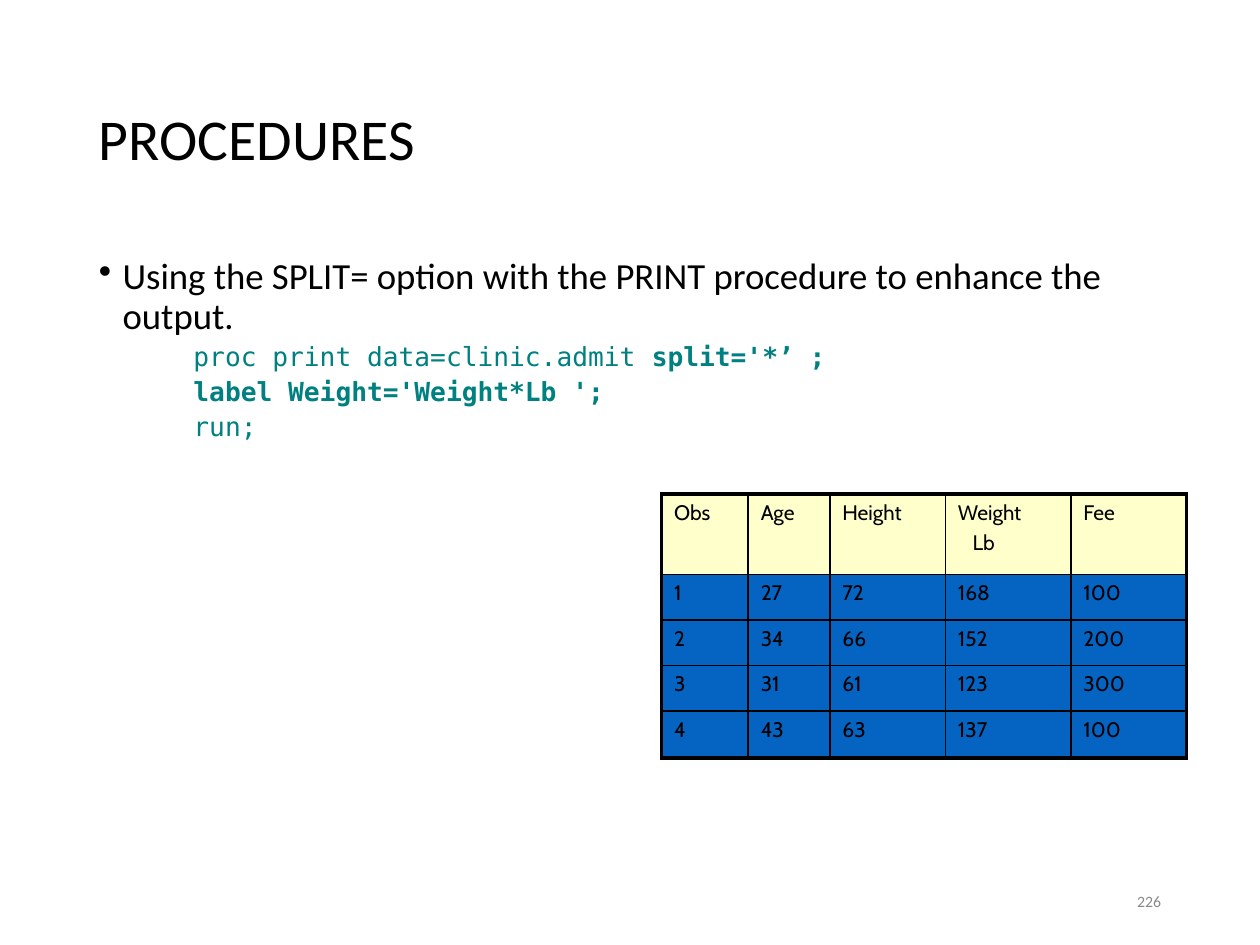
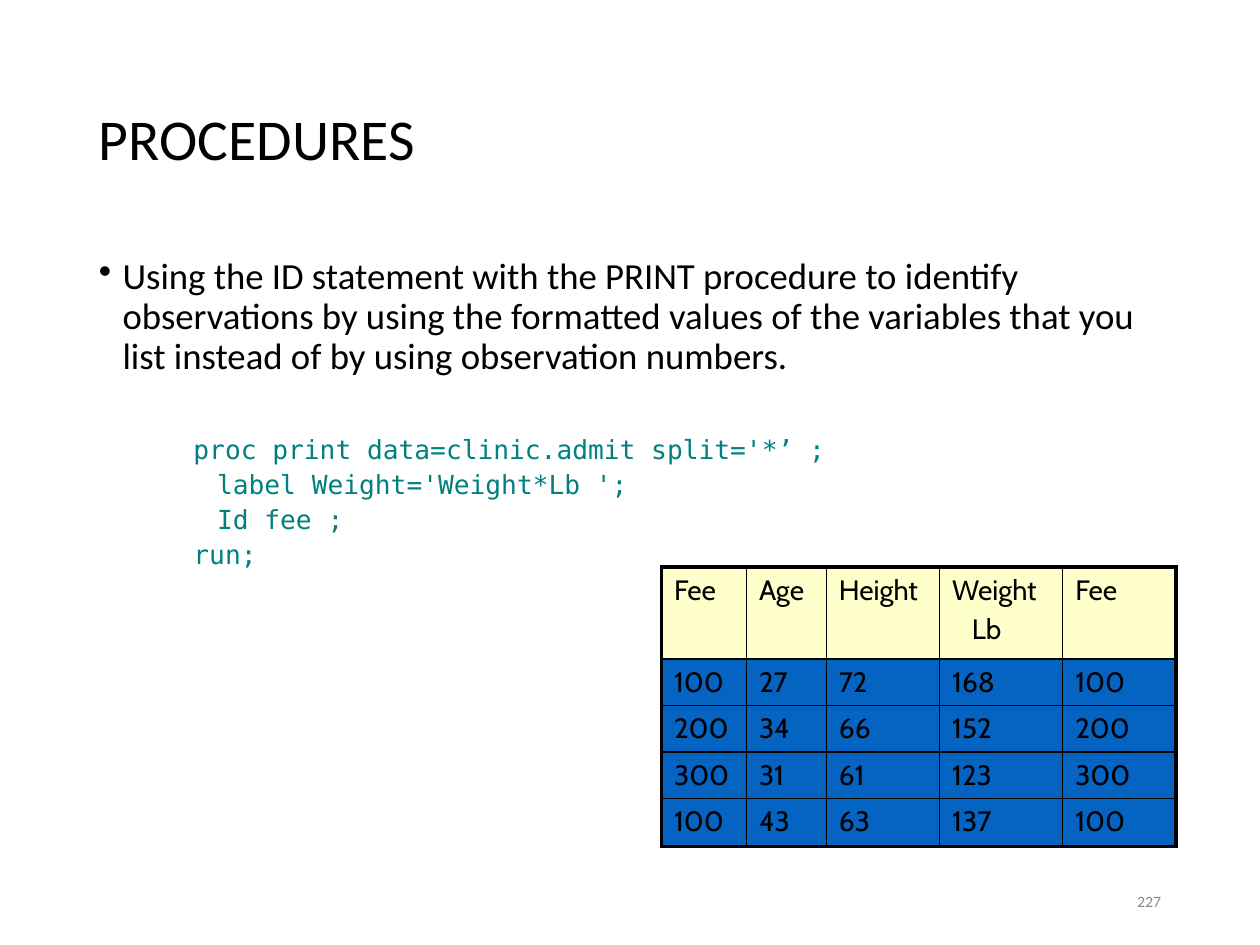
from dataclasses import dataclass

from lxml.etree import SubElement
from pptx import Presentation
from pptx.dml.color import RGBColor
from pptx.enum.text import MSO_ANCHOR, PP_ALIGN
from pptx.oxml.ns import qn
from pptx.util import Pt


@dataclass(frozen=True)
class Theme:
    black: str = "000000"
    teal: str = "008080"
    gray: str = "898989"
    cream: str = "FFFFCC"
    blue: str = "0563C1"
    sans: str = "Calibri"
    mono: str = "DejaVu Sans Mono"
    grid: str = "Cabin"
    title: int = 33
    body: int = 21
    code: int = 15
    page: int = 9
    thick: float = 2.25
    thin: float = 1


THEME = Theme()
LEFT, WIDTH = 49.5, 621
SHARES = (0.69, 0.65, 0.92, 1, 0.92)  # relative column widths
HEAD = ("Age", "Height", "Weight\nLb", "Fee")
ADMITS = (
    ("27", "72", "168", "100"),
    ("34", "66", "152", "200"),
    ("31", "61", "123", "300"),
    ("43", "63", "137", "100"),
)


# Text helpers
def style(para, face, size, color):
    para.font.name = face
    para.font.size = Pt(size)
    para.font.color.rgb = RGBColor.from_string(color)


def indent(para, left, first=0):
    props = para._p.get_or_add_pPr()
    props.set("marL", str(Pt(left)))
    props.set("indent", str(Pt(first)))
    return props


def add_box(slide, left, top, width, height, anchor):
    frame = slide.shapes.add_textbox(
        Pt(left), Pt(top), Pt(width), Pt(height)).text_frame
    frame.word_wrap = True
    frame.vertical_anchor = anchor
    return frame


# Title and page number
def add_frame(slide, number):
    para = add_box(slide, LEFT, 28.8, WIDTH, 104.4,
                   MSO_ANCHOR.MIDDLE).paragraphs[0]
    para.text = "PROCEDURES"
    para.line_spacing = 0.9
    style(para, THEME.sans, THEME.title, THEME.black)

    para = add_box(slide, 508.5, 500.4, 162, 28.8,
                   MSO_ANCHOR.MIDDLE).paragraphs[0]
    para.text = str(number)
    para.alignment = PP_ALIGN.RIGHT
    style(para, THEME.sans, THEME.page, THEME.gray)


# Bullet followed by code; each code line is (left indent, (text, bold), ...)
def add_body(slide, point, lines, gap):
    frame = add_box(slide, LEFT, 144, WIDTH, 342.7, MSO_ANCHOR.TOP)
    para = frame.paragraphs[0]
    para.text = point
    props = indent(para, 13.5, -13.5)
    SubElement(props, qn("a:buChar")).set("char", "•")
    para.line_spacing = 0.9
    style(para, THEME.sans, THEME.body, THEME.black)

    for row, (left, *parts) in enumerate(lines):
        para = frame.add_paragraph()
        indent(para, left)
        para.line_spacing = 0.9
        para.space_before = Pt(3.8 if row else gap)
        style(para, THEME.mono, THEME.code, THEME.teal)
        for text, bold in parts:
            run = para.add_run()
            run.text = text
            run.font.bold = bold


# Data table
def add_edge(cell, side, width):
    line = SubElement(cell._tc.get_or_add_tcPr(), qn(f"a:ln{side}"))
    line.set("w", str(Pt(width)))
    fill = SubElement(line, qn("a:solidFill"))
    SubElement(fill, qn("a:srgbClr")).set("val", THEME.black)


def fill_cell(cell, text, size, color, outer):
    for side in "LRTB":
        add_edge(cell, side, THEME.thick if side in outer else THEME.thin)
    cell.fill.solid()
    cell.fill.fore_color.rgb = RGBColor.from_string(color)
    cell.text = text
    for i, para in enumerate(cell.text_frame.paragraphs):
        if i:
            indent(para, 0.7 * size)
            para.space_before = Pt(0.2 * size)
        style(para, THEME.grid, size, THEME.black)


def add_grid(slide, top, width, heights, size, key, marks):
    data = [(key, *HEAD)]
    data += [(mark, *admit) for mark, admit in zip(marks, ADMITS)]
    last, end = len(data) - 1, len(SHARES) - 1
    table = slide.shapes.add_table(
        len(data), len(SHARES), Pt(378), Pt(top),
        Pt(width), Pt(sum(heights))).table
    table.first_row = table.horz_banding = False
    for col, share in zip(table.columns, SHARES):
        col.width = Pt(width * share / sum(SHARES))
    for row, height in zip(table.rows, heights):
        row.height = Pt(height)
    for r, texts in enumerate(data):
        for c, text in enumerate(texts):
            outer = (("T" if r == 0 else "") + ("B" if r == last else "")
                     + ("L" if c == 0 else "") + ("R" if c == end else ""))
            color = THEME.blue if r else THEME.cream
            fill_cell(table.cell(r, c), text, size, color, outer)


def main():
    deck = Presentation()
    deck.slide_width, deck.slide_height = Pt(720), Pt(540)
    blank = deck.slide_layouts[6]

    # SPLIT= option
    slide = deck.slides.add_slide(blank)
    add_frame(slide, 226)
    add_body(
        slide,
        "Using the SPLIT= option with the PRINT procedure to enhance the "
        "output.",
        [(54, ("proc print data=clinic.admit ", False),
          ("split='*’ ;", True)),
         (54, ("label Weight='Weight*Lb ';", True)),
         (54, ("run;", False))],
        gap=3.8)
    add_grid(slide, 282.2, 300, (46, 26, 26, 26, 27), 12, "Obs", "1234")

    # ID statement
    slide = deck.slides.add_slide(blank)
    add_frame(slide, 227)
    add_body(
        slide,
        "Using the ID statement with the PRINT procedure to identify "
        "observations by using the formatted values of the variables that "
        "you list instead of by using observation numbers.",
        [(54, ("proc print data=clinic.admit split='*’ ;", False)),
         (67.5, ("label Weight='Weight*Lb ';", False)),
         (67.5, ("Id fee ;", False)),
         (54, ("run;", False))],
        gap=34)
    add_grid(slide, 324, 294, (52.5, 26.6, 26.6, 26.6, 27.4), 16, "Fee",
             [admit[-1] for admit in ADMITS])

    deck.save("out.pptx")


if __name__ == "__main__":
    main()
